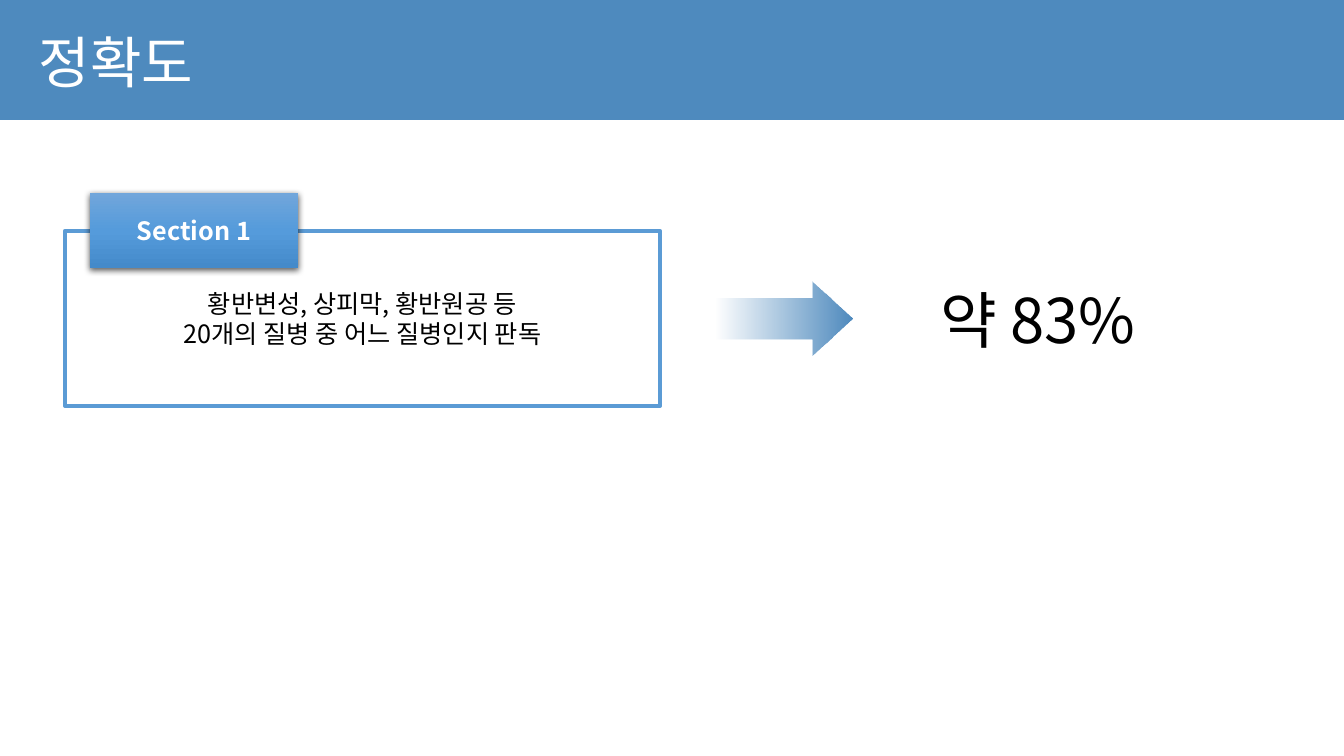
from lxml.etree import SubElement
from pptx import Presentation
from pptx.dml.color import RGBColor
from pptx.enum.shapes import MSO_SHAPE as Shape
from pptx.enum.text import MSO_ANCHOR as Anchor, MSO_AUTO_SIZE as AutoSize, PP_ALIGN as Align
from pptx.oxml.ns import qn
from pptx.util import Emu, Pt

PX = 914400 / 100.8
FONT = "Noto Sans CJK KR"
WHITE = RGBColor(0xFF, 0xFF, 0xFF)
BLACK = RGBColor(0x00, 0x00, 0x00)
BLUE = RGBColor(0x4E, 0x8A, 0xBE)
FRAME_BLUE = RGBColor(0x5B, 0x9B, 0xD5)
TAB_TOP = RGBColor(0x71, 0xA6, 0xDB)
TAB_MIDDLE = RGBColor(0x55, 0x9B, 0xDB)
TAB_BOTTOM = RGBColor(0x44, 0x8A, 0xCA)


def px(n):
    return Emu(round(n * PX))


def add_color(parent, color, alpha):
    """Append an RGB colour with its opacity in percent."""
    clr = SubElement(parent, qn("a:srgbClr"), val=str(color))
    if alpha < 100:
        SubElement(clr, qn("a:alpha"), val=str(alpha * 1000))


def set_gradient(sp, angle, stops):
    """Fill with (position, colour, opacity) stops; angle is counter-clockwise."""
    sp.fill.gradient()
    sp.fill.gradient_angle = angle
    gs_list = sp._element.spPr.find(qn("a:gradFill")).find(qn("a:gsLst"))
    for old in list(gs_list):
        gs_list.remove(old)
    for pos, color, alpha in stops:
        add_color(SubElement(gs_list, qn("a:gs"), pos=str(pos * 1000)), color, alpha)


def add_shadow(sp, color, alpha, blur, dist):
    """Drop a shadow straight down."""
    effects = sp._element.spPr.find(qn("a:effectLst"))
    shadow = SubElement(effects, qn("a:outerShdw"), blurRad=str(Pt(blur)),
                        dist=str(Pt(dist)), dir="5400000", algn="t", rotWithShape="0")
    add_color(shadow, color, alpha)


def add_shape(s, kind, box, fill=None, line=None):
    sp = s.shapes.add_shape(kind, *map(px, box))
    sp.shadow.inherit = False
    if fill is not None:
        sp.fill.solid()
        sp.fill.fore_color.rgb = fill
    if line is None:
        sp.line.fill.background()
    else:
        sp.line.color.rgb = line
        sp.line.width = Pt(3)
    return sp


def write(sp, lines, color, size, align=Align.CENTER, bold=False, **frame):
    tf = sp.text_frame
    frame = {"word_wrap": True, "vertical_anchor": Anchor.MIDDLE} | frame
    for name, value in frame.items():
        setattr(tf, name, value)
    for i, line in enumerate(lines):
        p = tf.paragraphs[0] if i == 0 else tf.add_paragraph()
        p.alignment = align
        r = p.add_run()
        r.text = line
        for name, value in {"name": FONT, "size": Pt(size), "bold": bold}.items():
            setattr(r.font, name, value)
        r.font.color.rgb = color
        SubElement(r.font._element, qn("a:ea"), typeface=FONT)


def add_text(s, box, *args, **kwargs):
    write(s.shapes.add_textbox(*map(px, box)), *args, **kwargs)


def add_section(s, box, tab_box, title, lines):
    """A framed box with a raised tab on its top edge."""
    frame = add_shape(s, Shape.RECTANGLE, box, WHITE, FRAME_BLUE)
    write(frame, lines, BLACK, 18)
    tab = add_shape(s, Shape.RECTANGLE, tab_box)
    set_gradient(tab, 270, [(0, TAB_TOP, 100), (50, TAB_MIDDLE, 100), (100, TAB_BOTTOM, 100)])
    add_shadow(tab, BLACK, 63, 4.5, 1.5)
    write(tab, [title], WHITE, 18, bold=True)


def add_fading_arrow(s, box):
    """A down arrow turned to point right, fading towards its tail."""
    arrow = add_shape(s, Shape.DOWN_ARROW, box)
    arrow.rotation = 270
    arrow.adjustments[0] = 0.55
    arrow.adjustments[1] = 0.545
    set_gradient(arrow, 90, [(0, BLUE, 100), (100, BLUE, 0)])


def main():
    prs = Presentation()
    prs.slide_width, prs.slide_height = px(1344), px(756)
    s = prs.slides.add_slide(prs.slide_layouts[6])

    add_shape(s, Shape.RECTANGLE, (0, 0, 1344, 120), BLUE)
    add_section(s, (65, 231, 595, 175), (90, 193, 208, 75), "Section 1",
                ["황반변성, 상피막, 황반원공 등", "20개의 질병 중 어느 질병인지 판독"])
    add_text(s, (29, 23, 190, 78), ["정확도"], WHITE, 40, Align.LEFT, word_wrap=False,
             vertical_anchor=Anchor.TOP, auto_size=AutoSize.SHAPE_TO_FIT_TEXT)
    add_fading_arrow(s, (747, 250, 74, 137))
    add_text(s, (812, 231, 452, 175), ["약 83%"], BLACK, 44)

    prs.save("out.pptx")


if __name__ == "__main__":
    main()
